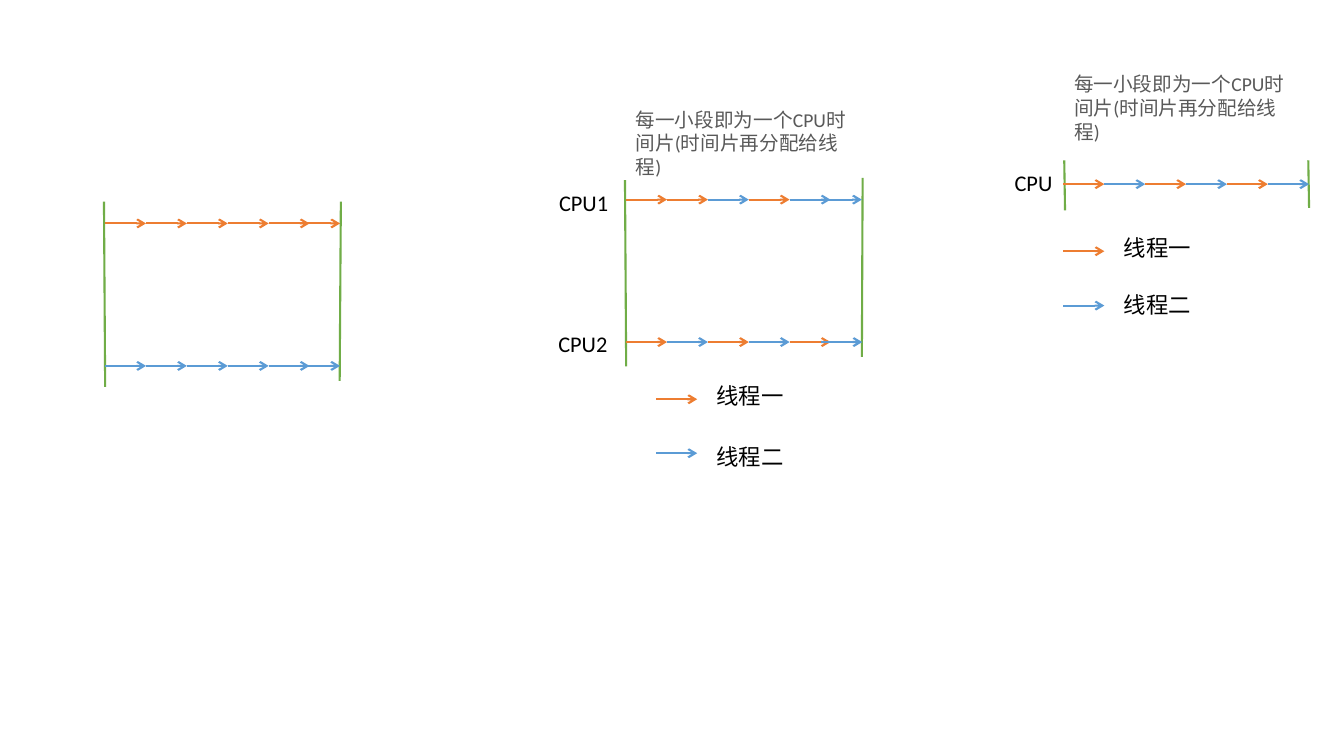
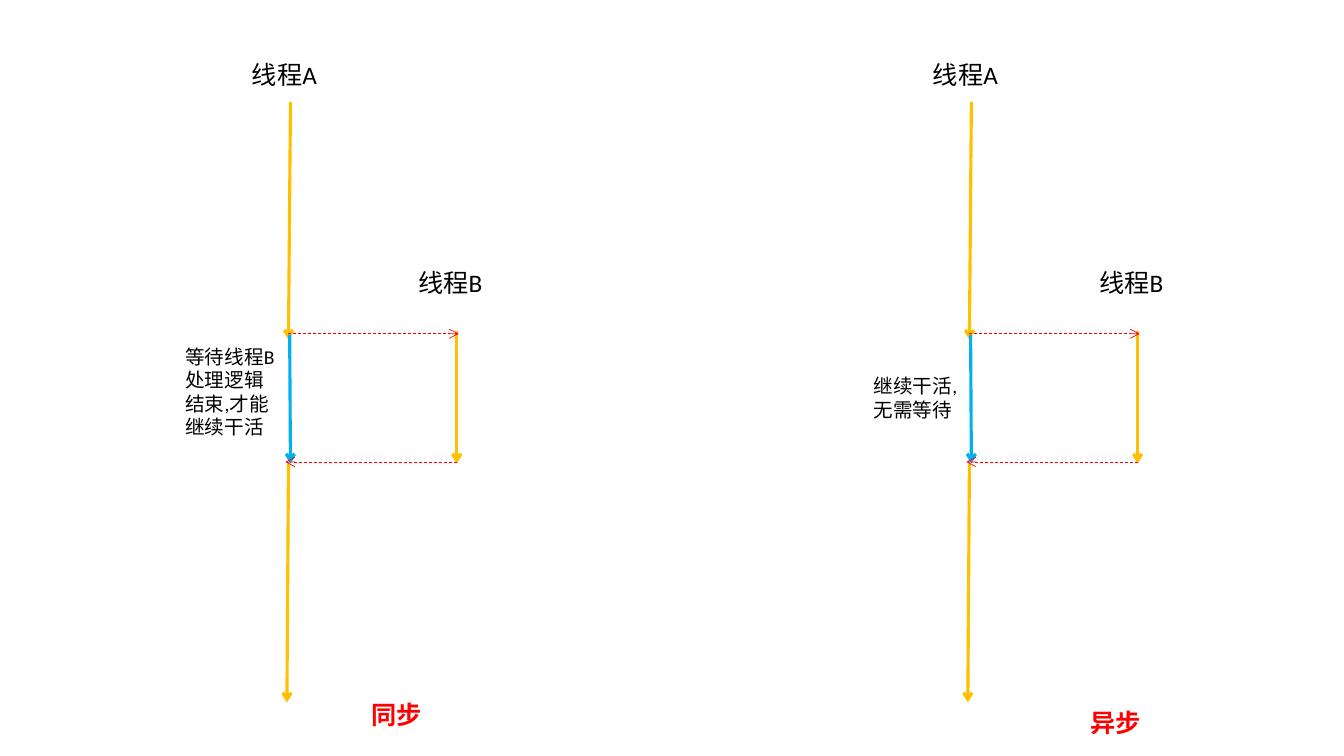
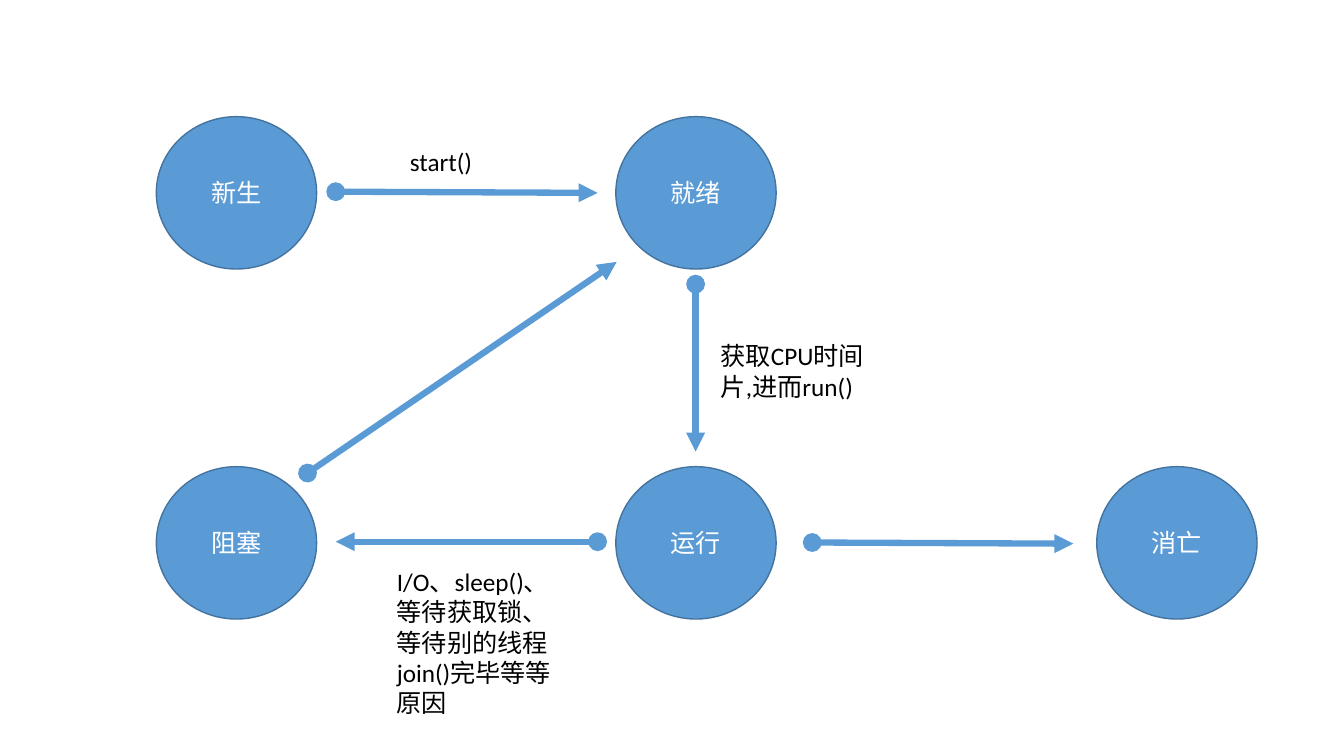
from lxml import etree
from pptx import Presentation
from pptx.dml.color import RGBColor
from pptx.enum import dml, shapes, text
from pptx.oxml import ns
from pptx.util import Cm, Pt

FONT = "Calibri"
HUES = {
    "orange": "ED7D31", "blue": "5B9BD5", "green": "70AD47", "gold": "FFC000",
    "sky": "00B0F0", "red": "FF0000", "edge": "43739E",
    "black": "000000", "grey": "595959", "white": "FFFFFF",
}

# Slide 1: time slices (all lengths in cm)
STEP = 1.03
ONE, TWO = "orange", "blue"
BARS = [
    (26.82, 4.04, 26.84, 5.3), (32.97, 4.04, 32.99, 5.24),
    (2.62, 5.08, 2.65, 9.75), (8.59, 5.08, 8.56, 9.6),
    (15.75, 4.54, 15.78, 9.23), (21.74, 4.48, 21.72, 8.99),
]
# left, right, top, thread of each slice
ROWS = [
    (26.8, 32.99, 4.64, [ONE, TWO] * 3),
    (2.65, 8.57, 5.63, [ONE] * 6),
    (2.65, 8.57, 9.22, [TWO] * 6),
    (15.78, 21.72, 5.03, [ONE, ONE, TWO, ONE, TWO, TWO]),
    (15.78, 21.73, 8.62, [ONE, TWO] * 3),
]
# left, then arrow top, text top, colour and name
KEYS = [
    (26.8, 6.33, 5.77, ONE, "线程一"), (26.8, 7.7, 7.21, TWO, "线程二"),
    (16.54, 10.06, 9.5, ONE, "线程一"), (16.54, 11.42, 11.05, TWO, "线程二"),
]
CORES = [("CPU", 25.32, 4.13, 1.48), ("CPU1", 13.84, 4.65, 1.93),
         ("CPU2", 13.82, 8.19, 1.93)]
SLICE = "每一小段即为一个CPU时间片(时间片再分配给线程)"
NOTES = [(26.82, 1.7), (15.77, 2.59)]

# Slide 2: one flow, drawn twice
SHIFT = 17.16
FLOW = [
    ("gold", (7.32, 2.57, 7.27, 8.56)), ("gold", (11.51, 8.34, 11.51, 11.68)),
    ("gold", (7.27, 11.68, 7.23, 17.7)), ("sky", (7.3, 8.43, 7.32, 11.68)),
]
CALLS = [(7.27, 8.41, 11.56, 8.41), (11.51, 11.64, 7.19, 11.64)]
HEADS = [("线程A", 6.1, 1.36), ("线程B", 10.29, 6.6)]
MODES = [
    (0, ("等待线程B处理逻辑结束,才能继续干活", 4.42, 8.56, 2.77),
     ("同步", 9.12, 17.5, 2.13)),
    (SHIFT, ("继续干活,无需等待", 21.77, 9.3, 2.59),
     ("异步", 27.23, 17.7, 2.13)),
]

# Slide 3: thread states
COLS, TIERS = (3.94, 15.52, 27.64), (2.94, 11.76)
STATES = [("新生", 0, 0), ("就绪", 1, 0), ("消亡", 2, 1), ("阻塞", 0, 1),
          ("运行", 1, 1)]
MOVES = [
    (8.46, 4.83, 15.06, 4.86), (20.47, 13.67, 27.05, 13.7),
    (7.75, 11.92, 15.54, 6.6), (17.53, 7.16, 17.53, 11.38),
    (15.06, 13.65, 8.46, 13.65),
]
CAUSES = [
    ("start()", 10.08, 3.56, 3.12),
    ("获取CPU时间片,进而run()", 17.91, 8.46, 4.27),
    ("I/O、sleep()、等待获取锁、等待别的线程join()完毕等等原因", 9.75, 14.15, 4.5),
]


def rgb(name):
    return RGBColor.from_string(HUES[name])


def write(frame, words, size, hue, bold=False):
    run = frame.paragraphs[0].add_run()
    run.text = words
    run.font.name, run.font.size, run.font.bold = FONT, Pt(size), bold
    run.font.color.rgb = rgb(hue)


def label(page, words, x, y, w, size=18, hue="black", bold=False):
    box = page.shapes.add_textbox(Cm(x), Cm(y), Cm(w), Cm(1))
    box.text_frame.word_wrap = True
    box.text_frame.auto_size = text.MSO_AUTO_SIZE.SHAPE_TO_FIT_TEXT
    write(box.text_frame, words, size, hue, bold)


def line(page, ends, hue, width=1.5, head=None, tail=None, dash=False):
    link = page.shapes.add_connector(
        shapes.MSO_CONNECTOR.STRAIGHT, *[Cm(v) for v in ends])
    link.line.color.rgb = rgb(hue)
    link.line.width = Pt(width)
    if dash:
        link.line.dash_style = dml.MSO_LINE.DASH
    props = link._element.spPr
    for tag, kind in (("a:headEnd", head), ("a:tailEnd", tail)):
        if kind:
            tip = etree.SubElement(props.find(ns.qn("a:ln")), ns.qn(tag))
            tip.set("type", kind)
    etree.SubElement(props, ns.qn("a:effectLst"))


def state(page, words, x, y):
    disc = page.shapes.add_shape(
        shapes.MSO_SHAPE.OVAL, Cm(x), Cm(y), Cm(4.04), Cm(3.84))
    disc.shadow.inherit = False
    disc.fill.solid()
    disc.fill.fore_color.rgb = rgb("blue")
    disc.line.color.rgb = rgb("edge")
    disc.line.width = Pt(1)
    frame = disc.text_frame
    frame.vertical_anchor = text.MSO_ANCHOR.MIDDLE
    frame.paragraphs[0].alignment = text.PP_ALIGN.CENTER
    write(frame, words, 18, "white")


def slices(page):
    for ends in BARS:
        line(page, ends, "green")
    for left, right, y, hues in ROWS:
        # The last slice is aligned to the right end of its row
        starts = [left + STEP * i for i in range(len(hues) - 1)] + [right - STEP]
        for x, hue in zip(starts, hues):
            line(page, (x, y, x + STEP, y), hue, tail="arrow")
    for x, y, top, hue, name in KEYS:
        line(page, (x, y, x + STEP, y), hue, tail="arrow")
        label(page, name, x + 1.27, top, 3.86, 16)
    for core in CORES:
        label(page, *core, size=16)
    for x, y in NOTES:
        label(page, SLICE, x, y, 6.17, 14, "grey")


def modes(page):
    for dx, note, name in MODES:
        for hue, (x1, y1, x2, y2) in FLOW:
            line(page, (x1 + dx, y1, x2 + dx, y2), hue, 2.25, tail="arrow")
        for x1, y1, x2, y2 in CALLS:
            line(page, (x1 + dx, y1, x2 + dx, y2), "red", 0.5,
                 tail="arrow", dash=True)
        for words, x, y in HEADS:
            label(page, words, x + dx, y, 2.44)
        label(page, *note, size=14)
        label(page, *name, hue="red", bold=True)


def states(page):
    for words, col, tier in STATES:
        state(page, words, COLS[col], TIERS[tier])
    for ends in MOVES:
        line(page, ends, "blue", 4.5, "oval", "triangle")
    for cause in CAUSES:
        label(page, *cause)


def main():
    deck = Presentation()
    deck.slide_width, deck.slide_height = Cm(33.87), Cm(19.05)
    blank = deck.slide_layouts.get_by_name("Blank")
    for draw in (slices, modes, states):
        draw(deck.slides.add_slide(blank))
    deck.save("out.pptx")


if __name__ == "__main__":
    main()
